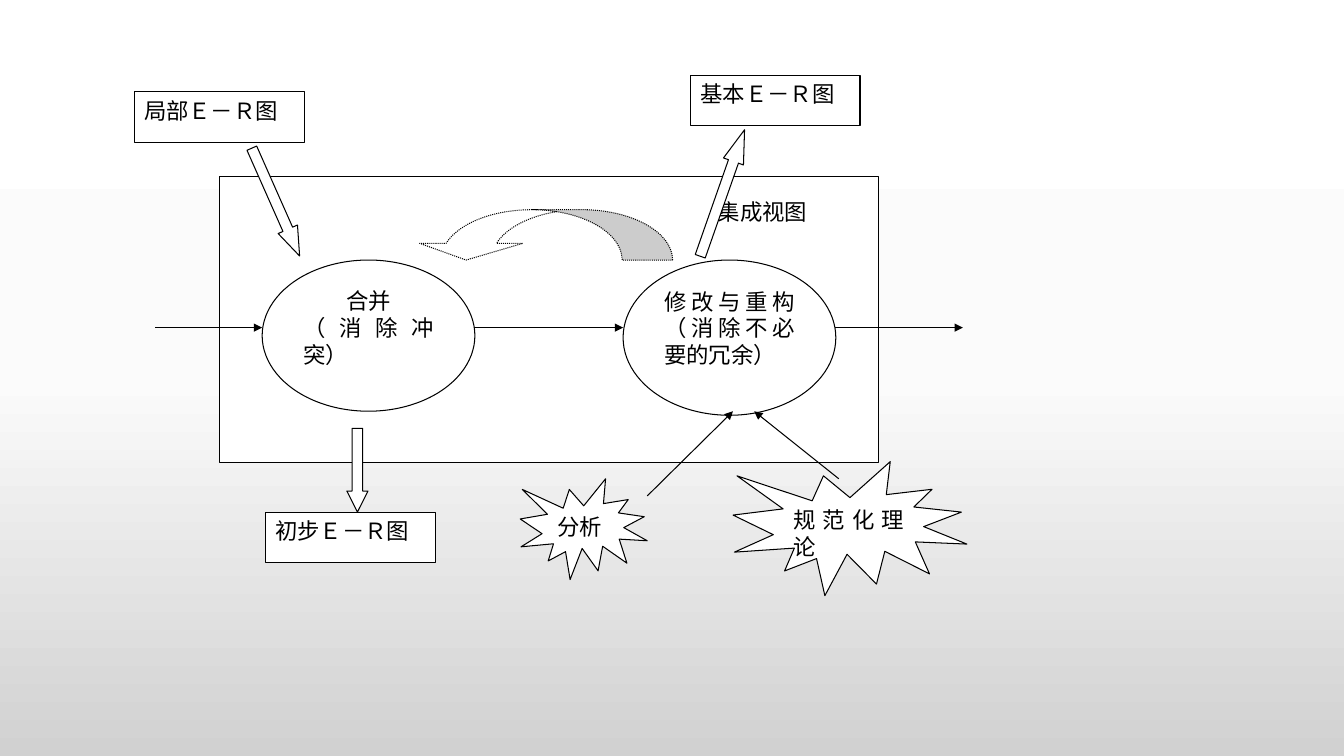
"""Build a slide showing how partial E-R diagrams are integrated into a basic one."""
import copy

import pptx
import pptx.dml.color
import pptx.enum.dml
import pptx.enum.shapes
import pptx.enum.text
import pptx.oxml
import pptx.oxml.ns
import pptx.util

PX = 9144
FONT = "Noto Sans CJK SC"
COLORS = {"paper": "FFFFFF", "ink": "000000", "bg_mid": "FBFBFB", "bg_end": "D1D1D1"}
SHAPE = pptx.enum.shapes.MSO_SHAPE
ALIGN = pptx.enum.text.PP_ALIGN
qn = pptx.oxml.ns.qn


def color(name):
    return pptx.dml.color.RGBColor.from_string(COLORS[name])


def add_node(kind, box, lines=(), rotation=0, adjustments=(), outline=True):
    sp = s.shapes.add_shape(kind, *(v * PX for v in box))
    sp.shadow.inherit = False
    sp.rotation = rotation
    for i, value in enumerate(adjustments):
        sp.adjustments[i] = value
    sp.fill.solid()
    sp.fill.fore_color.rgb = color("paper")
    if outline:
        sp.line.color.rgb = color("ink")
        sp.line.width = pptx.util.Pt(0.75)
    else:
        sp.line.fill.background()
    tf = sp.text_frame
    tf.word_wrap = True
    tf.vertical_anchor = pptx.enum.text.MSO_ANCHOR.TOP
    for i, (text, align) in enumerate(lines):
        p = tf.add_paragraph() if i else tf.paragraphs[0]
        p.alignment = align
        r = p.add_run()
        r.text = text
        r.font.size = pptx.util.Pt(16)
        r.font.name = FONT
        r.font.color.rgb = color("ink")
        ea = pptx.oxml.parse_xml(f'<a:ea {pptx.oxml.ns.nsdecls("a")} typeface="{FONT}"/>')
        r.font._element.find(qn("a:latin")).addnext(ea)
    return sp


prs = pptx.Presentation()
prs.slide_width, prs.slide_height = 1333 * PX, 750 * PX
s = prs.slides.add_slide(prs.slide_layouts[6])

fill = s.background.fill
fill.gradient()
fill.gradient_angle = 270
stops = next(s.element.iter(qn("a:gsLst")))
stops.append(copy.deepcopy(stops[0]))
for stop, position, name in zip(fill.gradient_stops, (0, 0.5, 1), ("paper", "bg_mid", "bg_end")):
    stop.position = position
    stop.color.rgb = color(name)

BODY = ALIGN.JUSTIFY
add_node(SHAPE.RECTANGLE, (133, 91, 169, 50), [("局部Ｅ－Ｒ图", BODY)])
add_node(SHAPE.RECTANGLE, (218, 175, 653, 284))
add_node(SHAPE.OVAL, (260, 258, 211, 150), [("合并", ALIGN.CENTER), ("（消除冲突）", BODY)])
add_node(SHAPE.OVAL, (618, 258, 211, 154), [("修改与重构（消除不必要的冗余）", BODY)])
add_node(SHAPE.RECTANGLE, (702, 192, 126, 50), [("集成视图", BODY)], outline=False)
feedback = add_node(SHAPE.CURVED_UP_ARROW, (411, 208, 256, 50), rotation=180,
                    adjustments=(1.025, 2.05, 0.333))
feedback.line.dash_style = pptx.enum.dml.MSO_LINE.ROUND_DOT
add_node(SHAPE.RECTANGLE, (685, 75, 168, 50), [("基本Ｅ－Ｒ图", BODY)])
add_node(SHAPE.DOWN_ARROW, (344, 425, 21, 83), adjustments=(0.5, 0.99))
add_node(SHAPE.RECTANGLE, (263, 508, 169, 50), [("初步Ｅ－Ｒ图", BODY)])
add_node(SHAPE.EXPLOSION1, (516, 475, 126, 100), [("分析", BODY)])
add_node(SHAPE.EXPLOSION1, (727, 458, 232, 133), [("规范化理论", BODY)])

flows = [
    (154, 325, 260, 325),
    (470, 325, 618, 325),
    (828, 325, 955, 325),
    (642, 492, 727, 408),
    (832, 475, 748, 408),
]
for flow in flows:
    cx = s.shapes.add_connector(pptx.enum.shapes.MSO_CONNECTOR.STRAIGHT, *(v * PX for v in flow))
    cx.line.color.rgb = color("ink")
    cx.line.width = pptx.util.Pt(0.75)
    ln = cx.line._get_or_add_ln()
    ln.append(pptx.oxml.parse_xml(f'<a:tailEnd {pptx.oxml.ns.nsdecls("a")} type="triangle"/>'))
    ln.addnext(pptx.oxml.parse_xml(f'<a:effectLst {pptx.oxml.ns.nsdecls("a")}/>'))

add_node(SHAPE.UP_ARROW, (706, 125, 21, 133), rotation=19.3, adjustments=(0.5, 1.59))
add_node(SHAPE.DOWN_ARROW, (263, 142, 21, 117), rotation=336.1, adjustments=(0.5, 1.38))

prs.save("out.pptx")
